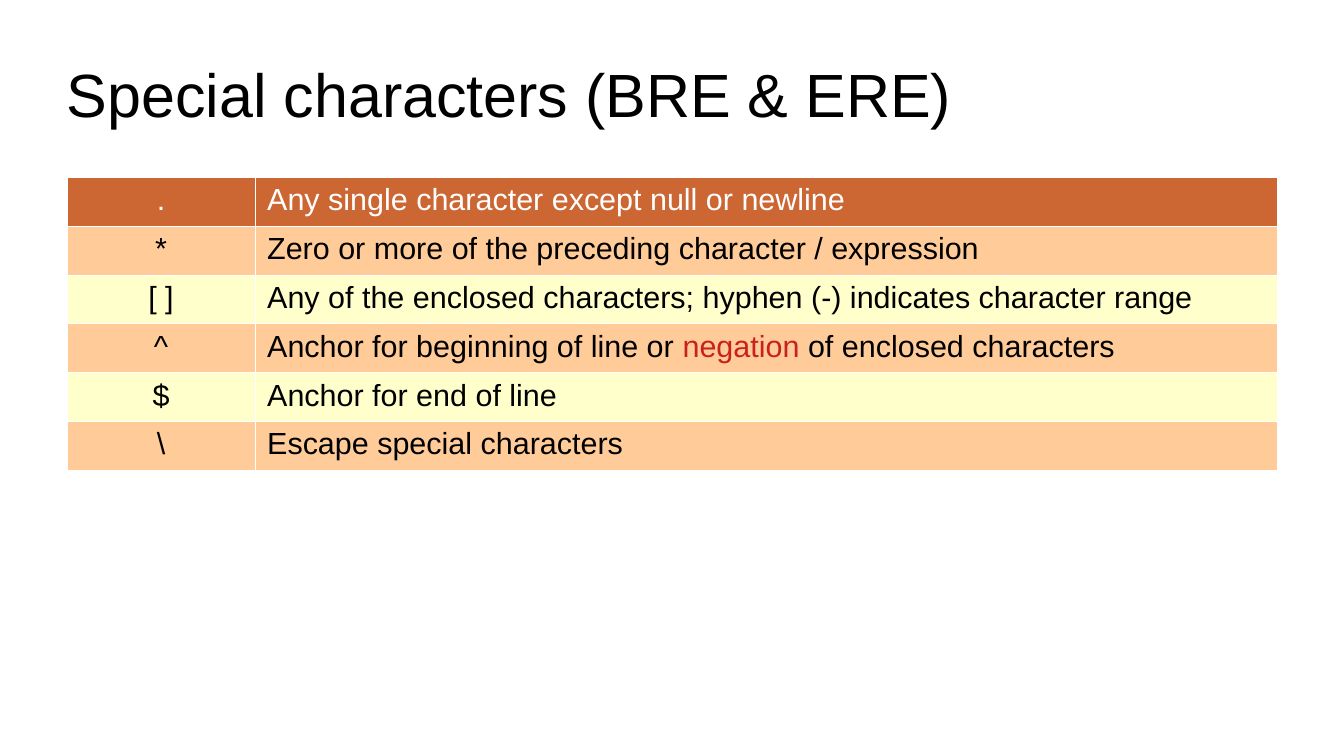
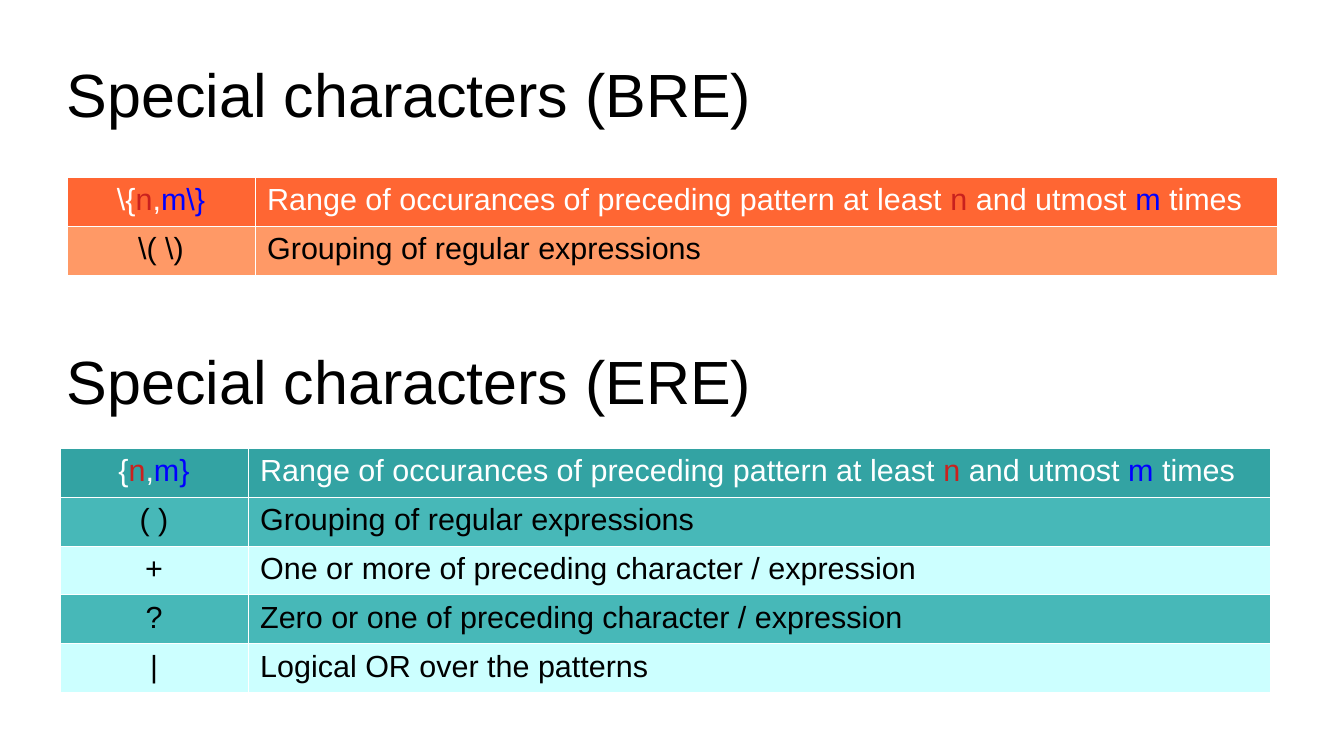
"""Build two slides that list the special characters of regular expressions."""
from pptx import Presentation
from pptx import util as u
from pptx.dml.color import RGBColor
from pptx.enum import text as t
from pptx.oxml import parse_xml
from pptx.oxml.ns import nsdecls

SCALE = u.Inches(1) / 122
FONT = "Arial"
LEFT, WIDTH = 67, 1210
COLUMNS = (188, 1022)
ROW_HEIGHT = 47
BORDER_WIDTH = u.Pt(0.06)

COLORS = {
    "black": "000000", "white": "FFFFFF", "red": "C9211E", "blue": "0000FF",
    "rust": "CC6633", "peach": "FFCC99", "cream": "FFFFCC",
    "orange": "FF6633", "salmon": "FF9966",
    "teal": "33A3A3", "aqua": "47B8B8", "ice": "CCFFFF",
}

LEAST, UTMOST = ("n", "red"), ("m", "blue")
RANGE = ["Range of occurances of preceding pattern at least ", LEAST,
         " and utmost ", UTMOST, " times"]
GROUPING = "Grouping of regular expressions"

COMMON_ROWS = [
    (".", "Any single character except null or newline"),
    ("*", "Zero or more of the preceding character / expression"),
    ("[ ]", "Any of the enclosed characters; hyphen (-) indicates character range"),
    ("^", ["Anchor for beginning of line or ", ("negation", "red"),
           " of enclosed characters"]),
    ("$", "Anchor for end of line"),
    ("\\", "Escape special characters"),
]
BASIC_ROWS = [
    ([r"\{", LEAST, ",", (r"m\}", "blue")], RANGE),
    (r"\( \)", GROUPING),
]
EXTENDED_ROWS = [
    (["{", LEAST, ",", ("m}", "blue")], RANGE),
    ("( )", GROUPING),
    ("+", "One or more of preceding character / expression"),
    ("?", "Zero or one of preceding character / expression"),
    ("|", "Logical OR over the patterns"),
]


def px(length):
    return u.Emu(round(length * SCALE))


def rgb(name):
    return RGBColor.from_string(COLORS[name])


def write_text(frame, content, size=18, color="black", align=t.PP_ALIGN.LEFT):
    """Write a string, or a list of strings and (string, color) pairs."""
    paragraph = frame.paragraphs[0]
    paragraph.alignment = align
    for part in [content] if isinstance(content, str) else content:
        words, run_color = (part, color) if isinstance(part, str) else part
        run = paragraph.add_run()
        run.text = words
        run.font.name = FONT
        run.font.size = u.Pt(size)
        run.font.color.rgb = rgb(run_color)


def add_title(slide, title, top=30):
    box = slide.shapes.add_textbox(px(LEFT), px(top), px(WIDTH), px(127))
    frame = box.text_frame
    frame.word_wrap = True
    frame.vertical_anchor = t.MSO_ANCHOR.MIDDLE
    frame.margin_left = frame.margin_right = 0
    frame.margin_top = frame.margin_bottom = 0
    write_text(frame, title, size=36)


def style_cell(cell, fill):
    """Draw thin white borders, then fill the cell."""
    properties = cell._tc.get_or_add_tcPr()
    for side in ("lnL", "lnR", "lnT", "lnB"):
        properties.append(parse_xml(
            f'<a:{side} {nsdecls("a")} w="{BORDER_WIDTH}"><a:solidFill>'
            f'<a:srgbClr val="{COLORS["white"]}"/></a:solidFill></a:{side}>'))
    cell.fill.solid()
    cell.fill.fore_color.rgb = rgb(fill)


def add_character_table(slide, rows, header, bands, left=LEFT, top=177):
    """Add a table with a header fill and alternating band fills below it."""
    table = slide.shapes.add_table(
        len(rows), len(COLUMNS), px(left), px(top),
        px(WIDTH), px(ROW_HEIGHT * len(rows))).table
    table.first_row = table.horz_banding = False
    for column, width in zip(table.columns, COLUMNS):
        column.width = px(width)
    for i, row in enumerate(rows):
        fill = bands[(i - 1) % len(bands)] if i else header
        color = "black" if i else "white"
        for j, align in enumerate((t.PP_ALIGN.CENTER, t.PP_ALIGN.LEFT)):
            cell = table.cell(i, j)
            style_cell(cell, fill)
            write_text(cell.text_frame, row[j], color=color, align=align)


def main():
    presentation = Presentation()
    presentation.slide_width, presentation.slide_height = px(1344), px(756)
    blank = presentation.slide_layouts[6]

    common = presentation.slides.add_slide(blank)
    add_title(common, "Special characters (BRE & ERE)")
    add_character_table(common, COMMON_ROWS, "rust", ("peach", "cream"))

    separate = presentation.slides.add_slide(blank)
    add_title(separate, "Special characters (BRE)")
    add_character_table(separate, BASIC_ROWS, "orange", ("salmon",))
    add_title(separate, "Special characters (ERE)", top=317)
    add_character_table(separate, EXTENDED_ROWS, "teal", ("aqua", "ice"),
                        left=60, top=448)

    presentation.save("out.pptx")


if __name__ == "__main__":
    main()
